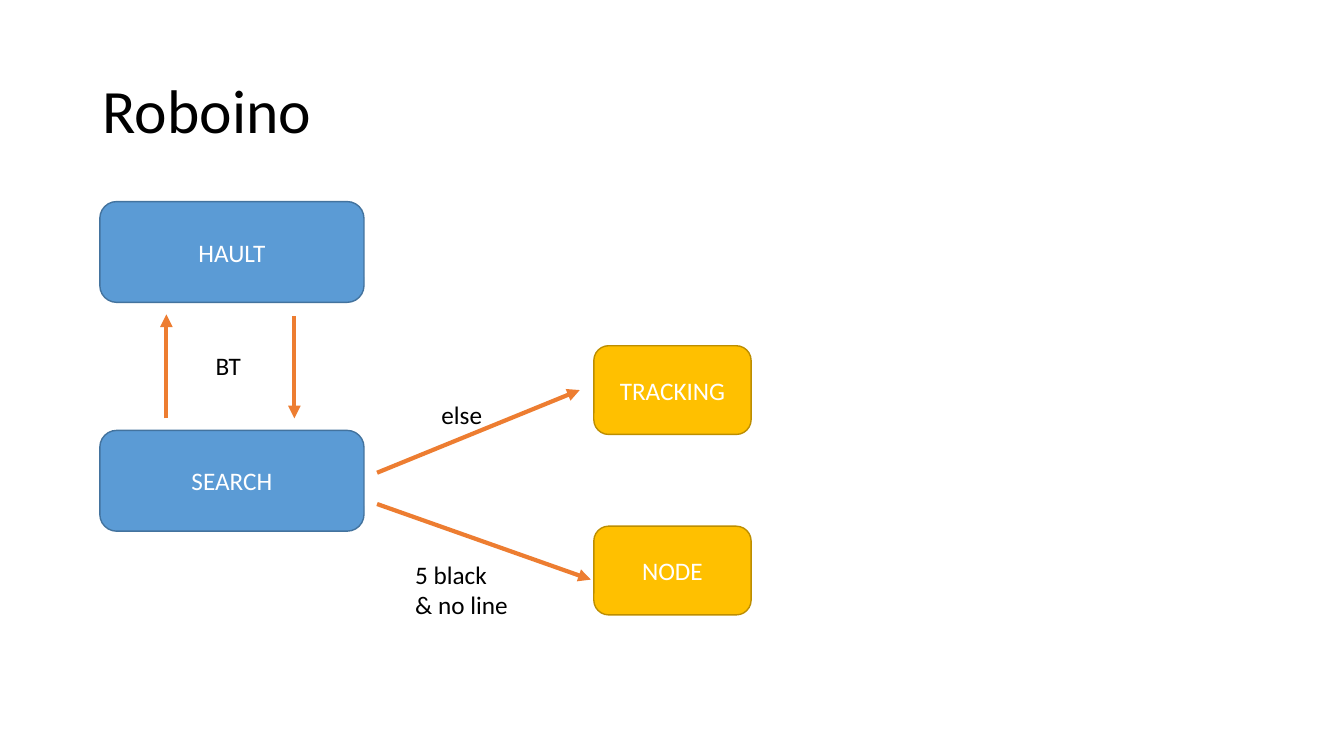
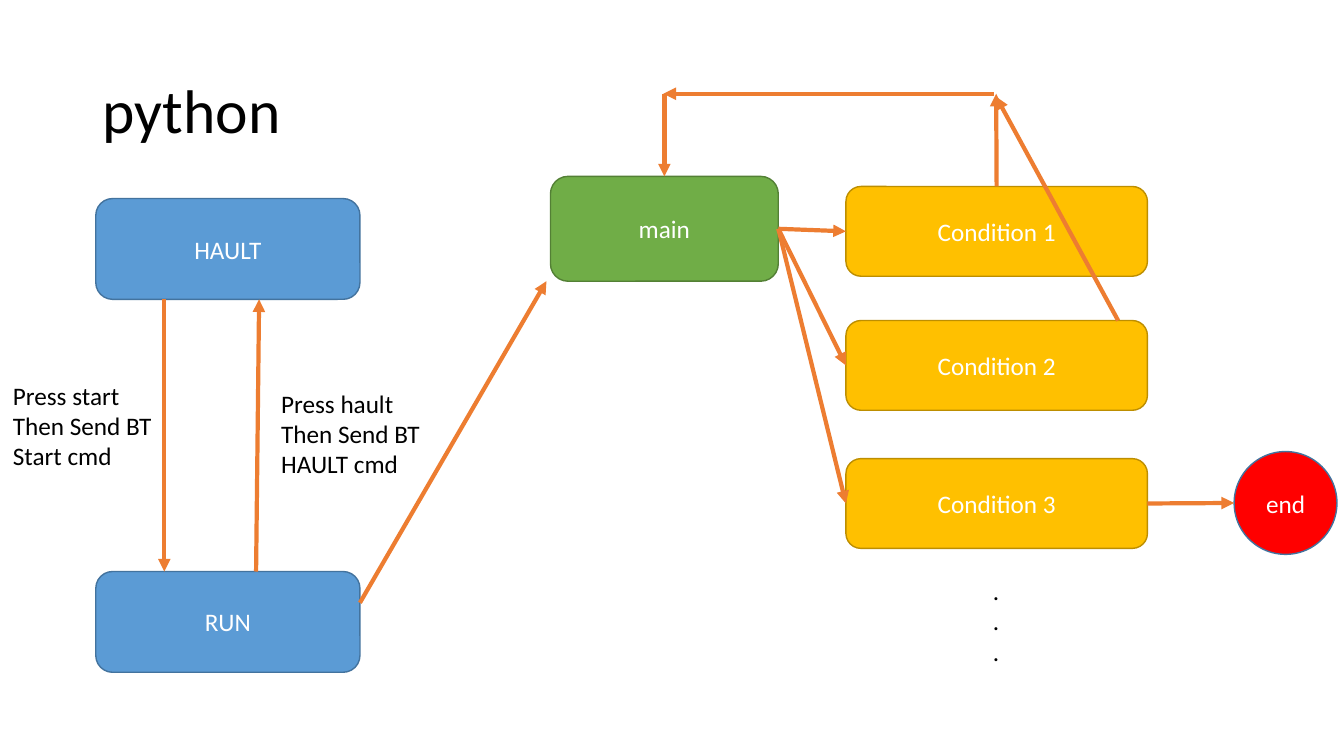
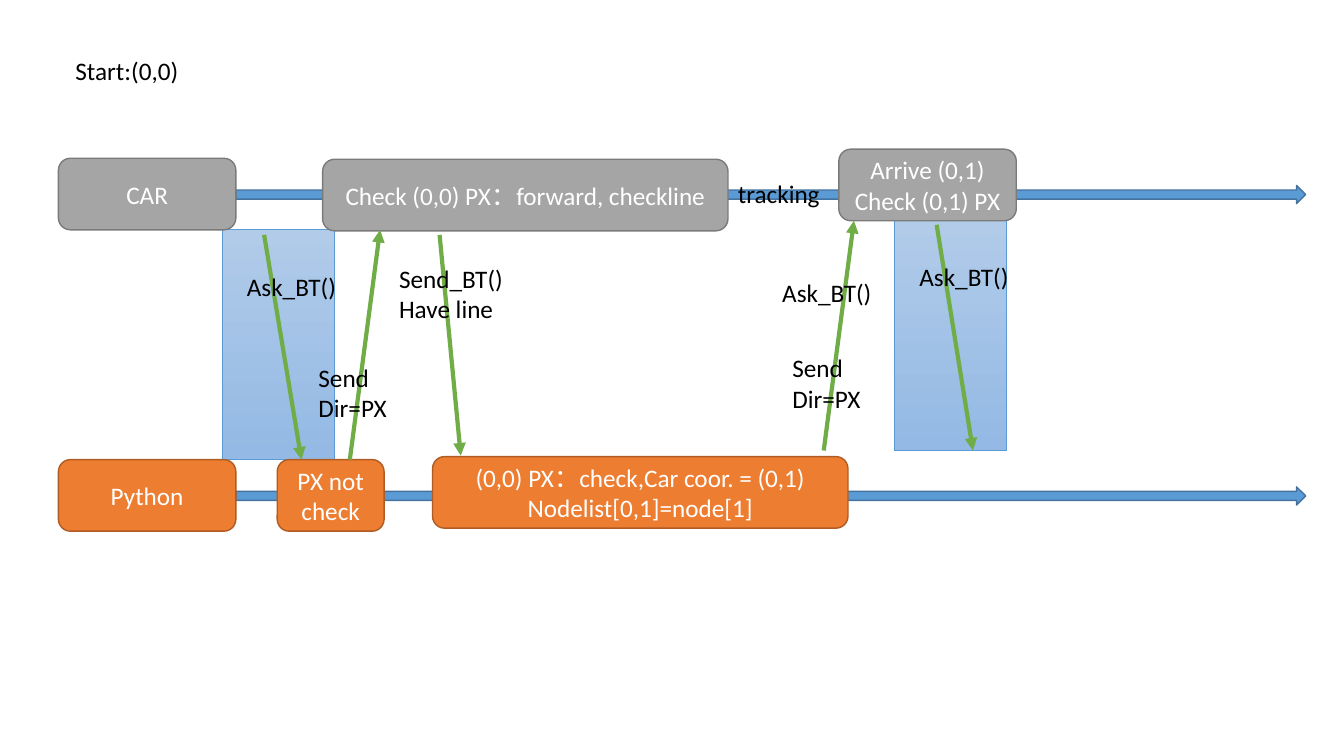
from dataclasses import dataclass

from lxml import etree
from pptx import Presentation
from pptx.dml.color import RGBColor
from pptx.enum import shapes, text
from pptx.oxml import ns
from pptx.util import Inches, Pt


@dataclass(frozen=True)
class Theme:
    font: str = "Calibri"
    title_size: int = 44
    body_size: int = 18
    ink: str = "000000"
    paper: str = "FFFFFF"
    blue: tuple = ("5B9BD5", "43739E")  # fill, outline
    gold: tuple = ("FFC000", "BD8E00")
    green: tuple = ("70AD47", "538035")
    grey: tuple = ("A5A5A5", "7A7A7A")
    orange: tuple = ("ED7D31", "AF5C24")
    red: tuple = ("FF0000", "43739E")
    band: tuple = ("B1CBE9", "93B9E4")  # gradient from, to


T = Theme()
KIND = shapes.MSO_SHAPE
TOP, LEFT, BOTTOM, RIGHT = range(4)

# Box sizes
STATE = (2.62, 1)
BRANCH = (1.56, 0.88)
CONDITION = (2.99, 0.89)
LANE_H = 0.71
ACTOR = (1.76, LANE_H)

# Content: boxes are (text, colours, position, size), labels (text, position, width),
# arrows (from, to), where an end is a point or (box, side)
SLIDES = [
    {
        "title": "Roboino",
        "boxes": [
            ("HAULT", T.blue, (0.99, 2), STATE),
            ("SEARCH", T.blue, (0.99, 4.27), STATE),
            ("TRACKING", T.gold, (5.89, 3.43), BRANCH),
            ("NODE", T.gold, (5.89, 5.22), BRANCH),
        ],
        "arrows": [
            ((1.65, 4.15), (1.65, 3.12)),
            ((2.92, 3.14), (2.92, 4.15)),
            ((3.74, 4.69), (5.75, 3.87)),
            ((3.74, 5), (5.86, 5.75)),
        ],
        "labels": [
            ("BT", (2.04, 3.43), 0.46),
            ("5 black\n& no line", (4.02, 5.5), 1.13),
            ("else", (4.28, 3.91), 0.61),
        ],
    },
    {
        "title": "python",
        "boxes": [
            ("RUN", T.blue, (0.95, 5.67), STATE),
            ("HAULT", T.blue, (0.95, 1.97), STATE),
            ("main", T.green, (5.46, 1.75), (2.26, 1.04)),
            ("Condition 1", T.gold, (8.39, 1.85), CONDITION),
            ("Condition 2", T.gold, (8.39, 3.18), CONDITION),
            ("Condition 3", T.gold, (8.39, 4.55), CONDITION),
        ],
        "circles": [("end", T.red, (12.24, 4.48), (1.02, 1.02))],
        "arrows": [
            ((1.63, 2.97), (1.63, 5.67)),
            ((3.57, 5.98), (5.42, 2.79)),
            ((2.54, 5.67), (2.57, 2.97)),
            *((("main", RIGHT), (f"Condition {n}", LEFT)) for n in (1, 2, 3)),
            (("Condition 1", TOP), (9.88, 0.93)),
            ((6.59, 0.93), ("main", TOP)),
            ((9.86, 0.93), (6.58, 0.93)),
            ((11.09, 3.18), (9.88, 0.96)),
            (("Condition 3", RIGHT), (12.24, 4.99)),
        ],
        "labels": [
            ("Press start\nThen Send BT\nStart cmd", (0.03, 3.72), 1.6),
            ("Press hault\nThen Send BT\nHAULT cmd", (2.69, 3.8), 1.6),
            (".\n.\n.", (9.75, 5.66), 0.27),
        ],
    },
    {
        "bands": [(2.21, 2.28), (8.87, 2.19)],
        "timelines": [(2.34, 1.84), (2.34, 4.83)],
        "boxes": [
            ("CAR", T.grey, (0.58, 1.57), ACTOR),
            ("Python", T.orange, (0.58, 4.56), ACTOR),
            ("Check (0,0) PX：forward, checkline", T.grey, (3.2, 1.58), (4.02, LANE_H)),
            ("PX not check", T.orange, (2.75, 4.56), (1.06, LANE_H)),
            ("(0,0) PX：check,Car coor. = (0,1)\nNodelist[0,1]=node[1]",
             T.orange, (4.29, 4.53), (4.12, LANE_H)),
            ("Arrive (0,1)\nCheck (0,1) PX", T.grey, (8.32, 1.48), ACTOR),
        ],
        "arrow_color": T.green[0],
        "arrows": [
            ((2.62, 2.33), (2.99, 4.56)),
            ((3.47, 4.56), (3.77, 2.28)),
            ((4.36, 2.33), (4.57, 4.52)),
            ((8.17, 4.47), (8.47, 2.19)),
            ((9.29, 2.23), (9.65, 4.47)),
        ],
        "labels": [
            ("Start:(0,0)", (0.65, 0.5), 1.23),
            ("Ask_BT()", (2.35, 2.64), 1.09),
            ("Send\nDir=PX", (3.06, 3.54), 0.89),
            ("Send_BT()\nHave line", (3.86, 2.56), 1.24),
            ("tracking", (7.22, 1.72), 1.02),
            ("Send\nDir=PX", (7.76, 3.45), 0.89),
            ("Ask_BT()", (7.66, 2.7), 1.09),
            ("Ask_BT()", (9.02, 2.54), 1.09),
        ],
    },
]


def rgb(color):
    return RGBColor.from_string(color)


def write(tf, words, size, color, align=text.PP_ALIGN.LEFT):
    tf.text = words
    for p in tf.paragraphs:
        p.alignment = align
        p.font.name = T.font
        p.font.size = Pt(size)
        p.font.color.rgb = rgb(color)


def add_title(s, words):
    tf = s.shapes.add_textbox(*map(Inches, (0.92, 0.4, 11.5, 1.45))).text_frame
    tf.word_wrap = True
    tf.vertical_anchor = text.MSO_ANCHOR.MIDDLE
    write(tf, words, T.title_size, T.ink)
    tf.paragraphs[0].line_spacing = 0.9


def add_shape(s, kind, pos, size, outline, weight=1):
    sp = s.shapes.add_shape(kind, *map(Inches, (*pos, *size)))
    sp.shadow.inherit = False
    sp.line.color.rgb = rgb(outline)
    sp.line.width = Pt(weight)
    return sp


def add_solid(s, kind, words, colors, pos, size):
    fill, outline = colors
    sp = add_shape(s, kind, pos, size, outline)
    sp.fill.solid()
    sp.fill.fore_color.rgb = rgb(fill)
    if words:
        write(sp.text_frame, words, T.body_size, T.paper, text.PP_ALIGN.CENTER)
    return sp


def add_band(s, pos):
    sp = add_shape(s, KIND.RECTANGLE, pos, (1.11, 2.28), T.blue[0], 0.5)
    sp.fill.gradient()
    sp.fill.gradient_angle = 270
    for stop, color in zip(sp.fill.gradient_stops, T.band):
        stop.color.rgb = rgb(color)


def add_label(s, words, pos, width):
    height = 0.1 + 0.303 * len(words.split("\n"))
    tf = s.shapes.add_textbox(*map(Inches, (*pos, width, height))).text_frame
    tf.word_wrap = False
    tf.auto_size = text.MSO_AUTO_SIZE.SHAPE_TO_FIT_TEXT
    write(tf, words, T.body_size, T.ink)


def add_arrow(s, boxes, start, end, color):
    joined = [e[0] in boxes for e in (start, end)]
    points = [(0, 0) if j else e for j, e in zip(joined, (start, end))]
    c = s.shapes.add_connector(shapes.MSO_CONNECTOR.STRAIGHT,
                               *(Inches(v) for point in points for v in point))
    for j, e, connect in zip(joined, (start, end), (c.begin_connect, c.end_connect)):
        if j:
            connect(boxes[e[0]], e[1])
    c.line.color.rgb = rgb(color)
    c.line.width = Pt(3)
    sp_pr = c._element.spPr
    etree.SubElement(sp_pr.find(ns.qn("a:ln")), ns.qn("a:tailEnd"), type="triangle")
    etree.SubElement(sp_pr, ns.qn("a:effectLst"))


def build_slide(prs, content):
    s = prs.slides.add_slide(prs.slide_layouts[6])
    if "title" in content:
        add_title(s, content["title"])
    for pos in content.get("bands", []):
        add_band(s, pos)
    for pos in content.get("timelines", []):
        add_solid(s, KIND.RIGHT_ARROW, "", T.blue, pos, (10.61, 0.18))
    boxes = {box[0]: add_solid(s, KIND.ROUNDED_RECTANGLE, *box) for box in content["boxes"]}
    for circle in content.get("circles", []):
        add_solid(s, KIND.OVAL, *circle)
    for start, end in content["arrows"]:
        add_arrow(s, boxes, start, end, content.get("arrow_color", T.orange[0]))
    for label in content["labels"]:
        add_label(s, *label)


def main():
    prs = Presentation()
    prs.slide_width, prs.slide_height = Inches(13.33), Inches(7.5)
    for content in SLIDES:
        build_slide(prs, content)
    prs.save("out.pptx")


if __name__ == "__main__":
    main()
